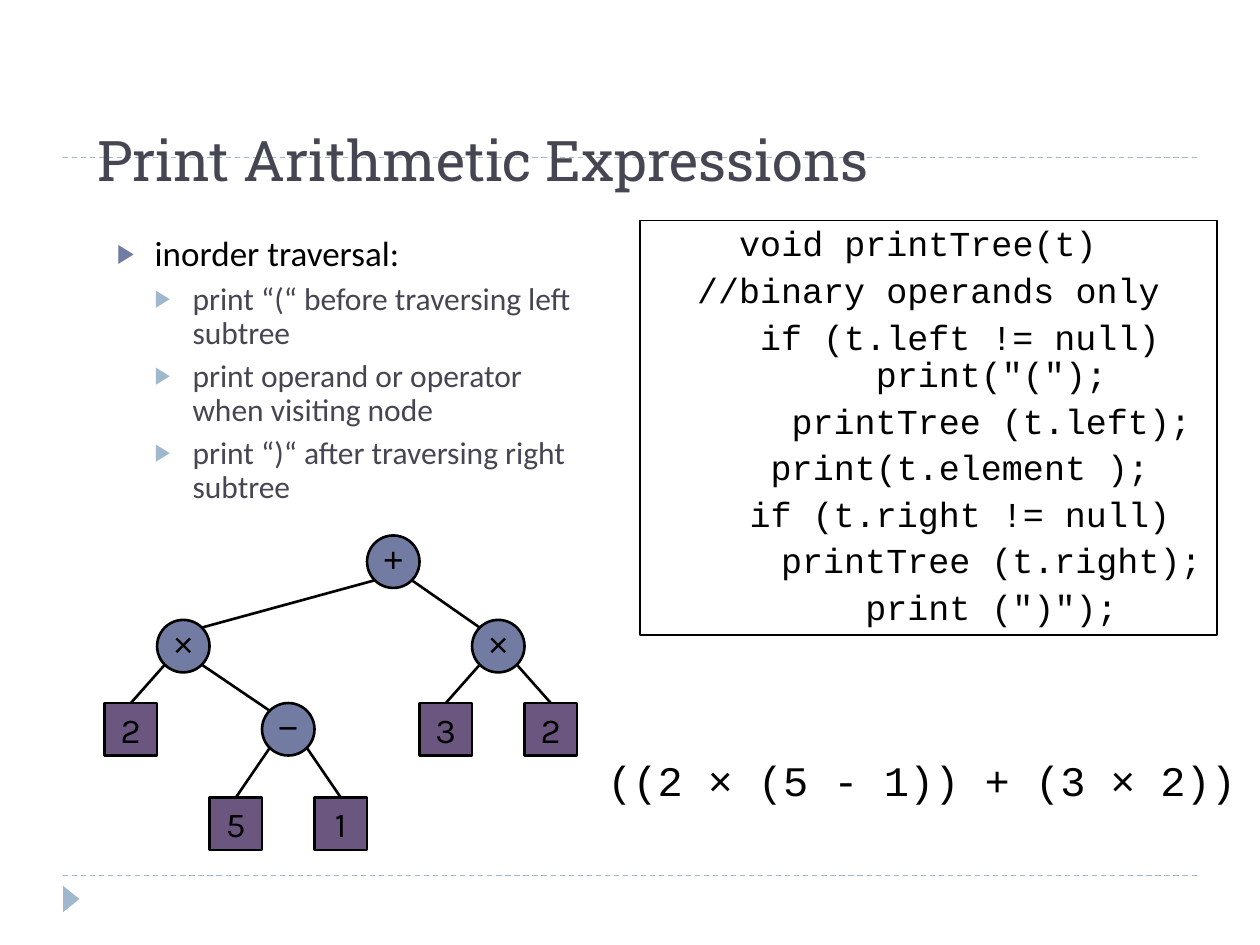
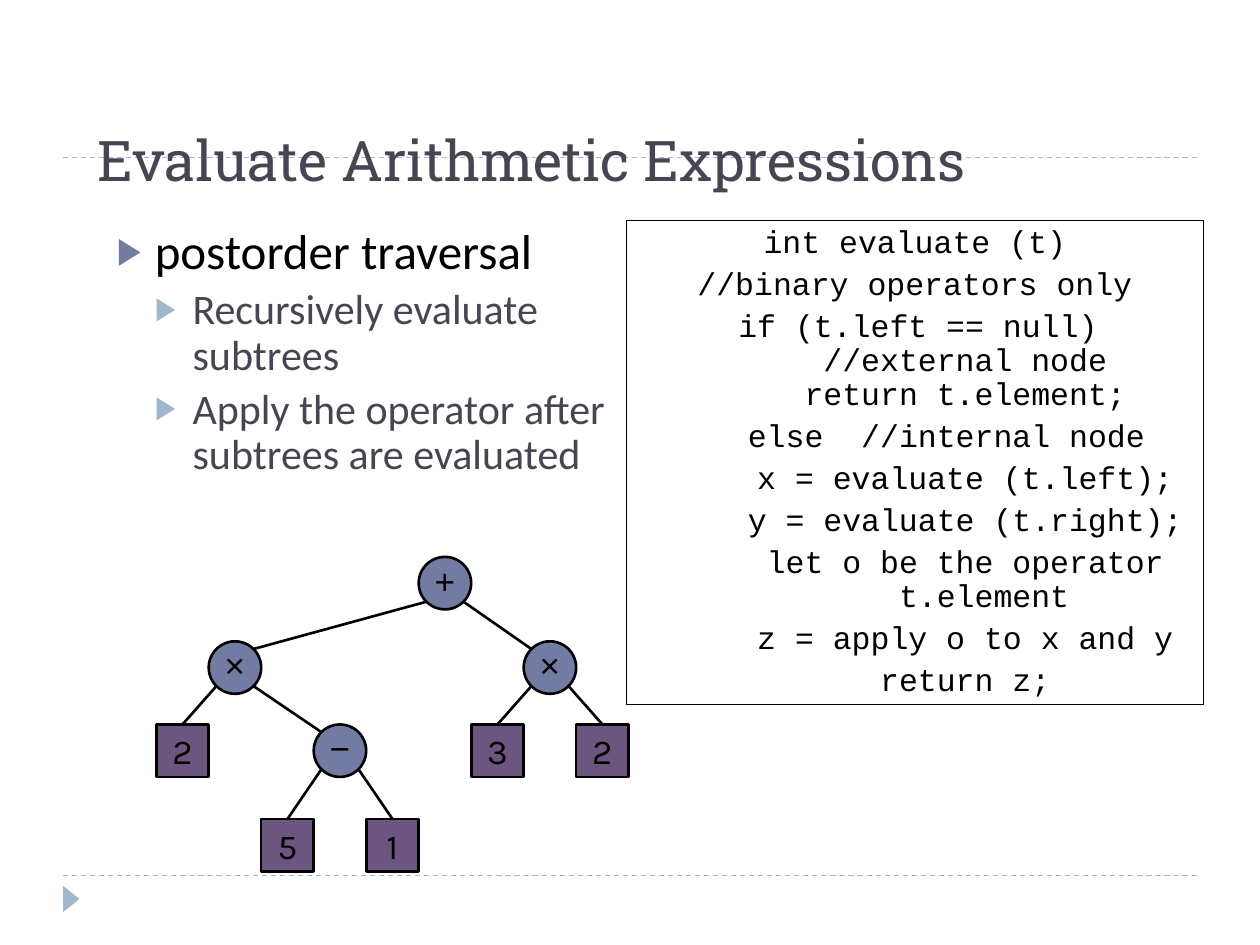
import math
from dataclasses import dataclass

import pptx
import pptx.util
import pptx.dml.color
import pptx.enum.dml
import pptx.enum.shapes
import pptx.enum.text
import pptx.oxml.ns
from lxml import etree

Inches = pptx.util.Inches
Pt = pptx.util.Pt
Shape = pptx.enum.shapes.MSO_SHAPE
Align = pptx.enum.text.PP_ALIGN
Anchor = pptx.enum.text.MSO_ANCHOR
Fit = pptx.enum.text.MSO_AUTO_SIZE


@dataclass(frozen=True)
class Theme:
    ink: str = "000000"
    slate: str = "464653"
    blue: str = "727CA3"
    pale: str = "9FB8CD"
    plum: str = "6B5680"
    head: str = "Roboto Slab"
    body: str = "Calibri"
    code: str = "Courier New"
    sign: str = "Arial"
    digit: str = "Karla"
    title: float = 32
    node: float = 20
    sum: float = 24
    thin: float = 0.75
    thick: float = 1.5


@dataclass(frozen=True)
class Box:
    left: float
    top: float
    width: float
    height: float

    def place(self) -> tuple:
        return tuple(Inches(v) for v in (self.left, self.top, self.width, self.height))


@dataclass(frozen=True)
class Node:
    text: str
    col: int
    row: int
    root: int | None = None
    leaf: bool = False


@dataclass(frozen=True)
class Line:
    text: str
    level: int = 0


@dataclass(frozen=True)
class Page:
    title: str
    head: Box
    list_box: Box
    sizes: tuple[float, float]
    points: tuple[Line, ...]
    code_box: Box
    code_size: float
    code: tuple[Line, ...]
    tree: tuple[float, float]
    sum: str = ""


THEME = Theme()
SIDE = 5 / 12
ROWS = (0, 0.67, 1.33, 2.08)
NODES = (
    Node("+", 5, 0),
    Node("×", 7, 1, 0),
    Node("×", 1, 1, 0),
    Node("−", 3, 2, 2),
    Node("2", 0, 2, 2, True),
    Node("5", 2, 3, 3, True),
    Node("1", 4, 3, 3, True),
    Node("3", 6, 2, 1, True),
    Node("2", 8, 2, 1, True),
)

PAGES = (
    Page(
        "Print Arithmetic Expressions",
        Box(0.67, 0.33, 8.83, 1.25),
        Box(0.83, 1.83, 4, 2.33),
        (20, 18),
        (
            Line("inorder traversal:"),
            Line("print “(“ before traversing left subtree", 1),
            Line("print operand or operator when visiting node", 1),
            Line("print “)“ after traversing right subtree", 1),
        ),
        Box(5.08, 1.75, 4.58, 3.29),
        20,
        (
            Line("void printTree(t) "),
            Line("//binary operands only"),
            Line('if (t.left != null)\n\tprint("(");', 1),
            Line("printTree (t.left);", 2),
            Line("print(t.element );", 1),
            Line("if (t.right != null)", 1),
            Line("printTree (t.right);", 2),
            Line('\tprint (")");', 1),
        ),
        (0.83, 4.25),
        "((2 × (5 - 1)) + (3 × 2))",
    ),
    Page(
        "Evaluate Arithmetic Expressions",
        Box(0.67, 0.33, 8.92, 1.25),
        Box(0.83, 1.75, 4.08, 2.58),
        (28, 24),
        (
            Line("postorder traversal"),
            Line("Recursively evaluate subtrees", 1),
            Line("Apply the operator after subtrees are evaluated", 1),
        ),
        Box(4.97, 1.75, 4.58, 3.84),
        18,
        (
            Line("int evaluate (t)"),
            Line("//binary operators only"),
            Line("if (t.left == null)   \n  //external node\n  return t.element;", 1),
            Line("else  //internal node", 1),
            Line("  x = evaluate (t.left);", 1),
            Line("  y = evaluate (t.right);", 1),
            Line("  let o be the operator\n    t.element", 1),
            Line("  z = apply o to x and y", 1),
            Line("  return z;", 1),
        ),
        (1.24, 4.42),
    ),
)


def tint(code: str) -> pptx.dml.color.RGBColor:
    return pptx.dml.color.RGBColor.from_string(code)


def style(font, name: str, size: float, color: str) -> None:
    font.name = name
    font.size = Pt(size)
    font.color.rgb = tint(color)


def sub(root, tag: str, **attrs: str):
    return etree.SubElement(root, pptx.oxml.ns.qn(tag), attrs)


def add_line(shapes, start: tuple, end: tuple, color: str, width: float, dash: bool = False) -> None:
    ends = (Inches(v) for v in (*start, *end))
    line = shapes.add_connector(pptx.enum.shapes.MSO_CONNECTOR.STRAIGHT, *ends)
    line.line.color.rgb = tint(color)
    line.line.width = Pt(width)
    if dash:
        line.line.dash_style = pptx.enum.dml.MSO_LINE.DASH
    sub(line.element.spPr, "a:effectLst")


def add_form(shapes, kind, box: Box, fill: str = "", width: float = 0):
    form = shapes.add_shape(kind, *box.place())
    form.shadow.inherit = False
    if fill:
        form.fill.solid()
        form.fill.fore_color.rgb = tint(fill)
    else:
        form.fill.background()
    if width:
        form.line.color.rgb = tint(THEME.ink)
        form.line.width = Pt(width)
    else:
        form.line.fill.background()
    return form


def add_frame(slide, page: Page) -> None:
    for y in (6.95, 1.25):
        add_line(slide.shapes, (0.5, y), (9.5, y), THEME.pale, THEME.thin, True)
    mark = add_form(slide.shapes, Shape.ISOSCELES_TRIANGLE, Box(0.46, 7.07, 0.21, 0.13), THEME.pale)
    mark.rotation = 90
    title = slide.shapes.title
    title.element.getparent().append(title.element)
    title.left, title.top, title.width, title.height = page.head.place()
    frame = title.text_frame
    frame.text = page.title
    frame.auto_size = Fit.NONE
    frame.vertical_anchor = Anchor.BOTTOM
    para = frame.paragraphs[0]
    para.alignment = Align.LEFT
    style(para.font, THEME.head, THEME.title, THEME.slate)


def add_para(frame, index: int, line: Line, space: float):
    para = frame.add_paragraph() if index else frame.paragraphs[0]
    para.text = line.text
    para.level = line.level
    para.line_spacing = 0.9
    para.space_before = Pt(space if index else 0)
    return para


def add_list(slide, page: Page) -> None:
    frame = slide.shapes.add_textbox(*page.list_box.place()).text_frame
    frame.word_wrap = True
    for i, line in enumerate(page.points):
        para = add_para(frame, i, line, 5)
        props = para._p.get_or_add_pPr()
        props.set("marL", str(Inches(0.3 * (line.level + 1))))
        props.set("indent", str(Inches(-0.3)))
        sub(sub(props, "a:buClr"), "a:srgbClr", val=(THEME.blue, THEME.pale)[line.level])
        sub(props, "a:buSzPct", val="76000")
        sub(props, "a:buFont", typeface=THEME.sign)
        sub(props, "a:buChar", char="▶")
        style(para.font, THEME.body, page.sizes[line.level], (THEME.ink, THEME.slate)[line.level])


def add_code(slide, page: Page) -> None:
    frame = add_form(slide.shapes, Shape.RECTANGLE, page.code_box, width=THEME.thin).text_frame
    frame.word_wrap = True
    frame.auto_size = Fit.SHAPE_TO_FIT_TEXT
    frame.vertical_anchor = Anchor.TOP
    for i, line in enumerate(page.code):
        para = add_para(frame, i, line, page.code_size / 4)
        para.alignment = Align.CENTER
        props = para._p.get_or_add_pPr()
        props.set("marL", str(Inches(0.5 * line.level)))
        props.set("indent", "0")
        if "\t" in line.text:
            tabs = sub(props, "a:tabLst")
            for stop in range(8):
                sub(tabs, "a:tab", pos=str(Inches(stop)), algn="l")
        style(para.font, THEME.code, page.code_size, THEME.ink)


def add_node(shapes, node: Node, box: Box) -> None:
    kind, fill, name = (
        (Shape.RECTANGLE, THEME.plum, THEME.digit) if node.leaf
        else (Shape.OVAL, THEME.blue, THEME.sign)
    )
    frame = add_form(shapes, kind, box, fill, THEME.thick).text_frame
    frame.word_wrap = False
    frame.vertical_anchor = Anchor.MIDDLE
    if not node.leaf:
        frame.margin_left = frame.margin_right = frame.margin_top = 0
        frame.margin_bottom = Inches(0.05)
    para = frame.paragraphs[0]
    para.text = node.text
    para.alignment = Align.CENTER
    style(para.font, name, THEME.node, THEME.ink)


def add_tree(slide, left: float, top: float) -> None:
    shapes = slide.shapes.add_group_shape().shapes
    spots = [Box(left + n.col * SIDE, top + ROWS[n.row], SIDE, SIDE) for n in NODES]
    for node, box in zip(NODES, spots):
        add_node(shapes, node, box)
    half = SIDE / 2
    reach = half * math.sqrt(0.5)
    for node, box in zip(NODES, spots):
        if node.root is None:
            continue
        base = spots[node.root]
        way = math.copysign(1, box.left - base.left)
        start = (base.left + half + way * reach, base.top + half + reach)
        end = (
            (box.left + half, box.top) if node.leaf
            else (box.left + half - way * reach, box.top + half - reach)
        )
        add_line(shapes, start, end, THEME.ink, THEME.thick)


def add_sum(slide, text: str) -> None:
    frame = slide.shapes.add_textbox(*Box(4.65, 5.94, 5.33, 0.5).place()).text_frame
    frame.word_wrap = False
    frame.auto_size = Fit.SHAPE_TO_FIT_TEXT
    para = frame.paragraphs[0]
    para.alignment = Align.CENTER
    for part in text.replace("×", "|×|").split("|"):
        run = para.add_run()
        run.text = part
        style(run.font, THEME.sign if part == "×" else THEME.code, THEME.sum, THEME.ink)


def main() -> None:
    deck = pptx.Presentation()
    deck.slide_width = Inches(10)
    deck.slide_height = Inches(7.5)
    for page in PAGES:
        slide = deck.slides.add_slide(deck.slide_layouts[5])
        add_frame(slide, page)
        add_list(slide, page)
        add_code(slide, page)
        add_tree(slide, *page.tree)
        if page.sum:
            add_sum(slide, page.sum)
    deck.save("out.pptx")


if __name__ == "__main__":
    main()
